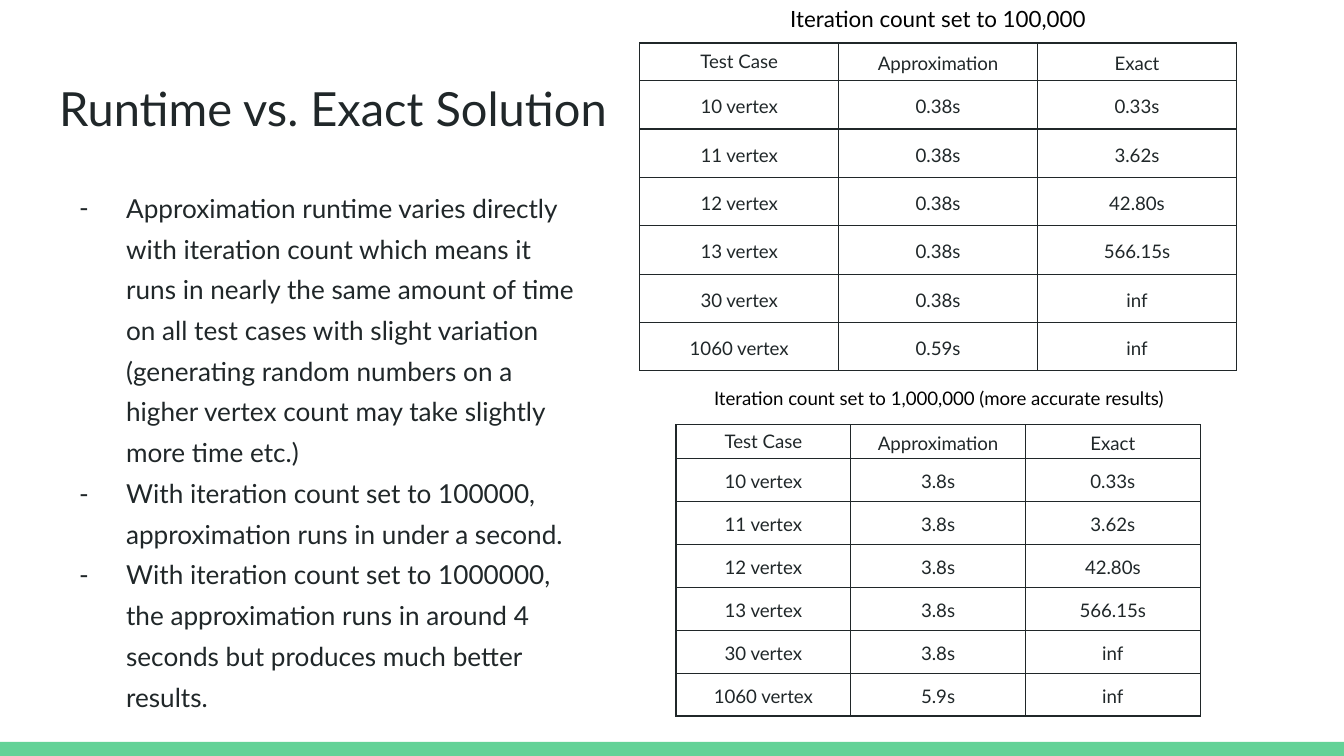
from dataclasses import dataclass

from lxml import etree
from pptx import Presentation
from pptx.dml.color import RGBColor
from pptx.enum.shapes import MSO_SHAPE
from pptx.enum.text import MSO_ANCHOR, MSO_AUTO_SIZE, PP_ALIGN
from pptx.oxml.ns import qn
from pptx.util import Inches, Pt

RECTANGLE = MSO_SHAPE.RECTANGLE
TOP, MIDDLE = MSO_ANCHOR.TOP, MSO_ANCHOR.MIDDLE
LEFT, CENTER = PP_ALIGN.LEFT, PP_ALIGN.CENTER
FIXED_SIZE = MSO_AUTO_SIZE.NONE
TITLE_ONLY = 5


@dataclass(frozen=True)
class Theme:
    font: str = "Lato"
    ink: str = "202729"
    black: str = "000000"
    accent: str = "63D297"
    background: str = "FFFFFF"
    title_size: float = 25.2
    body_size: float = 14
    caption_size: float = 12
    small_size: float = 10
    border_width: float = 0.68


def write_text(para, text, *, font, size, color, align=LEFT, spacing=1.0):
    para.alignment = align
    para.line_spacing = spacing
    span = para.add_run()
    span.text = text
    span.font.name = font
    span.font.size = Pt(size)
    span.font.color.rgb = RGBColor.from_string(color)


def add_solid_fill(parent, color):
    fill = etree.SubElement(parent, qn("a:solidFill"))
    etree.SubElement(fill, qn("a:srgbClr"), val=color)


class SlideBuilder:
    def __init__(self, page, theme):
        self.page = page
        self.theme = theme
        fill = page.background.fill
        fill.solid()
        fill.fore_color.rgb = RGBColor.from_string(theme.background)

    def prepare_frame(self, box):
        frame = box.text_frame
        frame.word_wrap = True
        frame.auto_size = FIXED_SIZE
        frame.vertical_anchor = TOP
        frame.margin_left = frame.margin_right = Inches(0.1)
        frame.margin_top = frame.margin_bottom = Inches(0.1)
        return frame

    def text_frame(self, left, top, width, height):
        box = self.page.shapes.add_textbox(
            Inches(left), Inches(top), Inches(width), Inches(height))
        return self.prepare_frame(box)

    def title(self, text, left, top, width, height):
        box = self.page.shapes.title
        box.left, box.top = Inches(left), Inches(top)
        box.width, box.height = Inches(width), Inches(height)
        write_text(self.prepare_frame(box).paragraphs[0], text,
                   font=self.theme.font, size=self.theme.title_size,
                   color=self.theme.ink)

    def bar(self, left, top, width, height):
        shape = self.page.shapes.add_shape(
            RECTANGLE, Inches(left), Inches(top), Inches(width), Inches(height))
        shape.shadow.inherit = False
        shape.fill.solid()
        shape.fill.fore_color.rgb = RGBColor.from_string(self.theme.accent)
        shape.line.fill.background()

    def caption(self, text, left, top, width, height, size):
        frame = self.text_frame(left, top, width, height)
        write_text(frame.paragraphs[0], text, font=self.theme.font, size=size,
                   color=self.theme.black, align=CENTER)

    def bullets(self, items, left, top, width, height):
        frame = self.text_frame(left, top, width, height)
        for index, item in enumerate(items):
            para = frame.add_paragraph() if index else frame.paragraphs[0]
            write_text(para, item, font=self.theme.font,
                       size=self.theme.body_size, color=self.theme.ink,
                       spacing=1.3)
            self.dash(para)

    def dash(self, para):
        properties = para._p.get_or_add_pPr()
        properties.set("marL", str(Inches(0.5)))
        properties.set("indent", str(Inches(-0.35)))
        bullet_color = etree.SubElement(properties, qn("a:buClr"))
        etree.SubElement(bullet_color, qn("a:srgbClr"), val=self.theme.ink)
        etree.SubElement(properties, qn("a:buFont"), typeface=self.theme.font)
        etree.SubElement(properties, qn("a:buChar"), char="-")

    def borders(self, cell):
        properties = cell._tc.get_or_add_tcPr()
        for side in ("a:lnL", "a:lnR", "a:lnT", "a:lnB"):
            line = etree.SubElement(properties, qn(side),
                                    w=str(Pt(self.theme.border_width)))
            add_solid_fill(line, self.theme.ink)

    def table(self, rows, left, top, column_width, header_height, row_height):
        heights = [header_height] + [row_height] * (len(rows) - 1)
        columns = len(rows[0])
        table = self.page.shapes.add_table(
            len(rows), columns, Inches(left), Inches(top),
            Inches(column_width * columns), Inches(sum(heights))).table
        table.first_row = table.horz_banding = False
        for column in table.columns:
            column.width = Inches(column_width)
        for row_index, (values, height) in enumerate(zip(rows, heights)):
            table.rows[row_index].height = Inches(height)
            for column_index, value in enumerate(values):
                cell = table.cell(row_index, column_index)
                self.borders(cell)
                cell.fill.background()
                cell.vertical_anchor = MIDDLE
                cell.margin_left = cell.margin_right = Inches(0.03)
                cell.margin_top = cell.margin_bottom = Inches(0.02)
                is_corner = row_index == column_index == 0
                write_text(cell.text_frame.paragraphs[0], value,
                           font=self.theme.font, size=self.theme.small_size,
                           color=self.theme.ink, align=CENTER,
                           spacing=1.0 if is_corner else 1.15)


HEADER = ("Test Case", "Approximation", "Exact")
CASES = [f"{count} vertex" for count in (10, 11, 12, 13, 30, 1060)]
EXACT_TIMES = ("0.33s", "3.62s", "42.80s", "566.15s", "inf", "inf")
FINDINGS = (
    "Approximation runtime varies directly with iteration count which means it "
    "runs in nearly the same amount of time on all test cases with slight "
    "variation (generating random numbers on a higher vertex count may take "
    "slightly more time etc.)",
    "With iteration count set to 100000, approximation runs in under a second.",
    "With iteration count set to 1000000, the approximation runs in around 4 "
    "seconds but produces much better results.",
)


def runtime_rows(usual, largest):
    approximations = [usual] * (len(CASES) - 1) + [largest]
    return [HEADER, *zip(CASES, approximations, EXACT_TIMES)]


def main():
    theme = Theme()
    deck = Presentation()
    # Widescreen, 16:9
    deck.slide_width = Inches(10)
    deck.slide_height = Inches(10 * 9 / 16)
    page = deck.slides.add_slide(deck.slide_layouts[TITLE_ONLY])
    builder = SlideBuilder(page, theme)

    # Footer bar, title and findings
    builder.bar(0, 5.52, 10, 0.11)
    builder.title("Runtime vs. Exact Solution", 0.34, 0.49, 9.32, 0.63)
    builder.bullets(FINDINGS, 0.34, 1.26, 4.06, 4.08)

    # Runtimes at 100,000 iterations
    builder.caption("Iteration count set to 100,000",
                    5.04, -0.06, 3.88, 0.4, theme.caption_size)
    builder.table(runtime_rows("0.38s", "0.59s"), 4.76, 0.32, 1.48, 0.28, 0.36)

    # Runtimes at 1,000,000 iterations
    builder.caption("Iteration count set to 1,000,000 (more accurate results)",
                    4.63, 2.78, 4.71, 0.37, theme.small_size)
    builder.table(runtime_rows("3.8s", "5.9s"), 5.03, 3.16, 1.3, 0.25, 0.32)

    deck.save("out.pptx")


if __name__ == "__main__":
    main()
